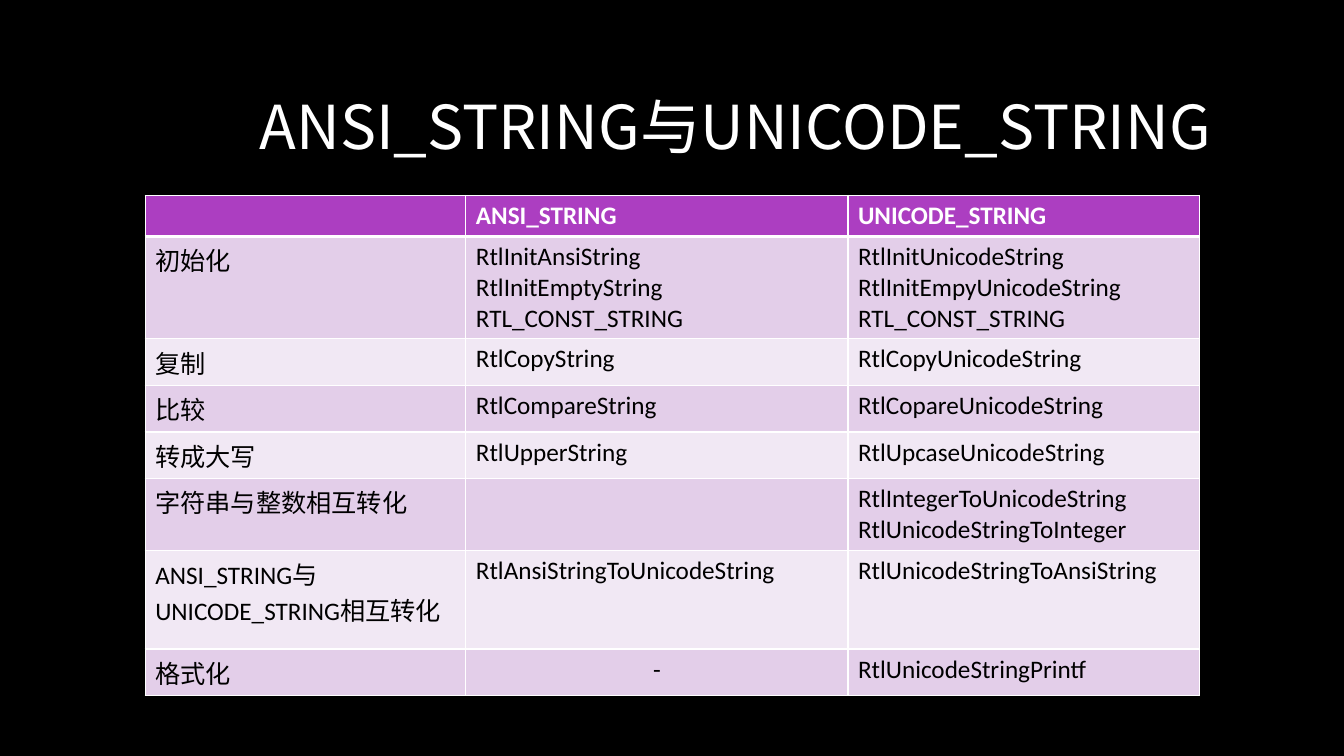
from lxml.etree import SubElement
from pptx import Presentation
from pptx.dml.color import RGBColor
from pptx.enum.text import MSO_ANCHOR, MSO_AUTO_SIZE, PP_ALIGN
from pptx.oxml.ns import qn
from pptx.util import Inches, Pt

CJK = "Noto Sans CJK SC"
WHITE, BLACK, HEAD = "FFFFFF", "000000", "AC3EC1"
BANDS = ["E3CEE9", "F1E8F4"]
WIDTHS = [3.18, 3.79, 3.49]
HEIGHTS = [0.4, 0.98, 0.4, 0.4, 0.4, 0.4, 0.98, 0.4]
ROWS = [
    ["", "ANSI_STRING", "UNICODE_STRING"],
    ["初始化",
     "RtlInitAnsiString\nRtlInitEmptyString\nRTL_CONST_STRING",
     "RtlInitUnicodeString\nRtlInitEmpyUnicodeString\nRTL_CONST_STRING"],
    ["复制", "RtlCopyString", "RtlCopyUnicodeString"],
    ["比较", "RtlCompareString", "RtlCopareUnicodeString"],
    ["转成大写", "RtlUpperString", "RtlUpcaseUnicodeString"],
    ["字符串与整数相互转化", "",
     "RtlIntegerToUnicodeString\nRtlUnicodeStringToInteger"],
    ["ANSI_STRING与UNICODE_STRING相互转化",
     "RtlAnsiStringToUnicodeString", "RtlUnicodeStringToAnsiString"],
    ["格式化", "-", "RtlUnicodeStringPrintf"],
]
TITLE_FONT = {"name": CJK, "size": Pt(43.2), "bold": False}
HEAD_FONT = {"name": "Calibri", "size": Pt(18), "bold": True}
BODY_FONT = {**HEAD_FONT, "bold": False}


def paint(fill, color):
    fill.solid()
    fill.fore_color.rgb = RGBColor.from_string(color)


def style(frame, look, color):
    """Format every run, with one font for East Asian text."""
    for para in frame.paragraphs:
        for run in para.runs:
            for key, value in look.items():
                setattr(run.font, key, value)
            paint(run.font.fill, color)
            SubElement(run.font._element, qn("a:ea"), typeface=CJK)


def edge(cell, side, width):
    props = cell._tc.get_or_add_tcPr()
    line = SubElement(props, qn(f"a:ln{side}"), w=str(Pt(width)))
    fill = SubElement(line, qn("a:solidFill"))
    SubElement(fill, qn("a:srgbClr"), val=WHITE)


def add_title(slide, text):
    title = slide.shapes.title
    box = {"left": 0.4, "top": 0.75, "width": 11.71, "height": 0.9}
    for key, value in box.items():
        setattr(title, key, Inches(value))
    frame = title.text_frame
    frame.text = text
    frame.auto_size = MSO_AUTO_SIZE.NONE
    frame.vertical_anchor = MSO_ANCHOR.BOTTOM
    frame.paragraphs[0].alignment = PP_ALIGN.RIGHT
    style(frame, TITLE_FONT, WHITE)


def fill_cell(cell, text, row):
    cell.text = text
    if row == 0:
        style(cell.text_frame, HEAD_FONT, WHITE)
    else:
        style(cell.text_frame, BODY_FONT, BLACK)
    if text == "-":
        cell.text_frame.paragraphs[0].alignment = PP_ALIGN.CENTER
    thick = {(0, "B"), (1, "T")}
    for side in "LRTB":
        edge(cell, side, 3 if (row, side) in thick else 1)
    paint(cell.fill, HEAD if row == 0 else BANDS[(row - 1) % 2])


def add_grid(slide):
    table = slide.shapes.add_table(
        len(ROWS), len(WIDTHS), Inches(1.44), Inches(1.94),
        Inches(sum(WIDTHS)), Inches(sum(HEIGHTS))).table
    for col, width in zip(table.columns, WIDTHS):
        col.width = Inches(width)
    for row, height in zip(table.rows, HEIGHTS):
        row.height = Inches(height)
    for r, texts in enumerate(ROWS):
        for c, text in enumerate(texts):
            fill_cell(table.cell(r, c), text, r)


def main():
    deck = Presentation()
    deck.slide_width, deck.slide_height = Inches(13.33), Inches(7.5)
    slide = deck.slides.add_slide(deck.slide_layouts[5])
    paint(slide.background.fill, BLACK)
    add_title(slide, "ANSI_STRING与UNICODE_STRING")
    add_grid(slide)
    deck.save("out.pptx")


if __name__ == "__main__":
    main()
